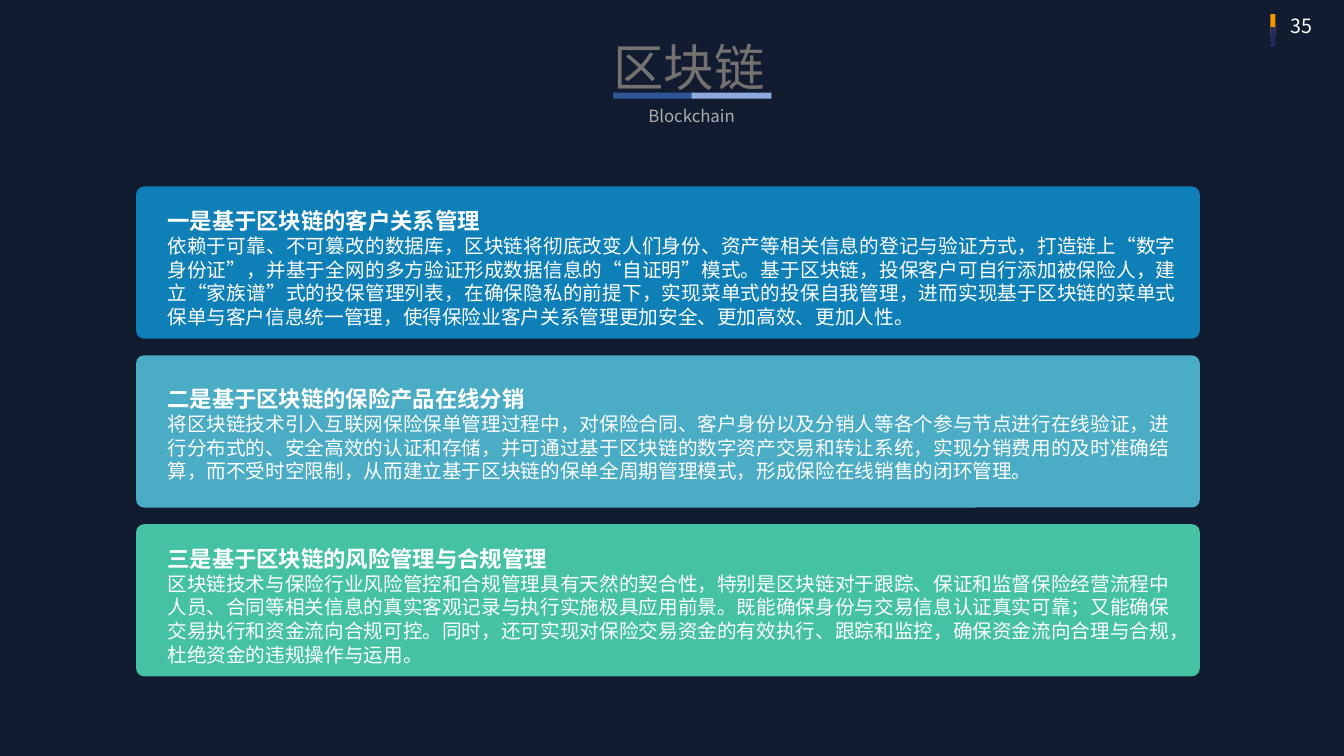
from lxml.etree import SubElement
from pptx import Presentation
from pptx.dml.color import RGBColor
from pptx.enum.shapes import MSO_SHAPE
from pptx.enum.text import MSO_ANCHOR, MSO_AUTO_SIZE, PP_ALIGN
from pptx.oxml.ns import qn
from pptx.util import Inches, Pt

CJK_FONT = "Noto Sans CJK SC"
BODY_FONT = "Open Sans"
COLORS = {
    "background": "111C31", "white": "FFFFFF", "title": "767171", "subtitle": "AFABAB",
    "blue": "0E7FB7", "cyan": "4BACC6", "green": "45C1A4",
    "orange": "F39800", "navy": "1F2B61", "bar_dark": "2F5597", "bar_light": "8FAADC",
}
PANELS = [
    ("blue", -0.09, PP_ALIGN.JUSTIFY, "一是基于区块链的客户关系管理",
     "依赖于可靠、不可篡改的数据库，区块链将彻底改变人们身份、资产等相关信息的登记与验证方式，"
     "打造链上“数字身份证”，并基于全网的多方验证形成数据信息的“自证明”模式。基于区块链，"
     "投保客户可自行添加被保险人，建立“家族谱”式的投保管理列表，在确保隐私的前提下，"
     "实现菜单式的投保自我管理，进而实现基于区块链的菜单式保单与客户信息统一管理，"
     "使得保险业客户关系管理更加安全、更加高效、更加人性。"),
    ("cyan", 0, PP_ALIGN.LEFT, "二是基于区块链的保险产品在线分销",
     "将区块链技术引入互联网保险保单管理过程中，对保险合同、客户身份以及分销人等各个参与节点进行在线验证，"
     "进行分布式的、安全高效的认证和存储，并可通过基于区块链的数字资产交易和转让系统，"
     "实现分销费用的及时准确结算，而不受时空限制，从而建立基于区块链的保单全周期管理模式，"
     "形成保险在线销售的闭环管理。"),
    ("green", -0.09, PP_ALIGN.LEFT, "三是基于区块链的风险管理与合规管理",
     "区块链技术与保险行业风险管控和合规管理具有天然的契合性，"
     "特别是区块链对于跟踪、保证和监督保险经营流程中人员、合同等相关信息的真实客观记录与执行实施极具应用前景。"
     "既能确保身份与交易信息认证真实可靠；又能确保交易执行和资金流向合规可控。"
     "同时，还可实现对保险交易资金的有效执行、跟踪和监控，确保资金流向合理与合规，杜绝资金的违规操作与运用。"),
]
PANEL_TOP, PANEL_STEP = 1.85, 1.675


def color(name):
    """Return the named colour."""
    return RGBColor.from_string(COLORS[name])


def write(paragraph, text, size, fill="white", font=CJK_FONT, bold=False,
          align=PP_ALIGN.LEFT, spacing=1.0):
    """Write formatted text into a paragraph."""
    paragraph.alignment = align
    paragraph.line_spacing = spacing
    run = paragraph.add_run()
    run.text = text
    run.font.size = Pt(size)
    run.font.bold = bold
    run.font.name = font
    run.font.color.rgb = color(fill)
    east_asian = SubElement(run.font._element, qn("a:ea"))
    east_asian.set("typeface", CJK_FONT)


def add_block(slide, left, top, width, height, fill, kind=MSO_SHAPE.RECTANGLE):
    """Add a filled shape without outline or shadow."""
    shape = slide.shapes.add_shape(kind, Inches(left), Inches(top), Inches(width), Inches(height))
    shape.shadow.inherit = False
    shape.fill.solid()
    shape.fill.fore_color.rgb = color(fill)
    shape.line.fill.background()
    return shape


def add_text_frame(slide, left, top, width, height, anchor=MSO_ANCHOR.TOP):
    """Add a wrapping text box and return its frame."""
    box = slide.shapes.add_textbox(Inches(left), Inches(top), Inches(width), Inches(height))
    box.text_frame.word_wrap = True
    box.text_frame.vertical_anchor = anchor
    return box.text_frame


def add_panel(slide, top, fill, text_shift, align, heading, body):
    """Add a rounded panel with its heading and body text."""
    panel = add_block(slide, 1.35, top, 10.55, 1.51, fill, MSO_SHAPE.ROUNDED_RECTANGLE)
    panel.adjustments[0] = 0.052
    frame = add_text_frame(slide, 1.59, top + text_shift, 10.15, 1.55)
    frame.margin_left = frame.margin_right = Inches(0.07)
    frame.margin_top = frame.margin_bottom = Inches(0.03)
    frame.auto_size = MSO_AUTO_SIZE.SHAPE_TO_FIT_TEXT
    write(frame.paragraphs[0], heading, 16, font=BODY_FONT, bold=True, spacing=2.0)
    write(frame.add_paragraph(), body, 14, font=BODY_FONT, align=align)


def add_header(slide):
    """Fill the title and add the subtitle with its two-tone rule."""
    title = slide.shapes.title
    title.left, title.top = Inches(3.98), Inches(0.01)
    title.width, title.height = Inches(5.71), Inches(0.92)
    frame = title.text_frame
    frame.word_wrap = True
    frame.vertical_anchor = MSO_ANCHOR.TOP
    frame.auto_size = MSO_AUTO_SIZE.SHAPE_TO_FIT_TEXT
    write(frame.paragraphs[0], "区块链", 36, fill="title", align=PP_ALIGN.CENTER, spacing=1.5)
    subtitle = add_text_frame(slide, 5.28, 0.95, 3.16, 0.4, MSO_ANCHOR.MIDDLE)
    write(subtitle.paragraphs[0], "Blockchain", 12, fill="subtitle", align=PP_ALIGN.CENTER)
    for left, fill in ((6.08, "bar_dark"), (6.86, "bar_light")):
        add_block(slide, left, 0.92, 0.79, 0.06, fill)


def add_page_number(slide):
    """Add the page number and its two-colour marker."""
    add_block(slide, 12.6, 0.14, 0.05, 0.21, "orange")
    add_block(slide, 12.6, 0.27, 0.05, 0.19, "navy")
    frame = add_text_frame(slide, 12.65, 0.07, 0.51, 0.37, MSO_ANCHOR.MIDDLE)
    write(frame.paragraphs[0], "35", 14, align=PP_ALIGN.CENTER)


def main():
    """Build and save the slide."""
    presentation = Presentation()
    presentation.slide_width, presentation.slide_height = Inches(13.33), Inches(7.5)
    slide = presentation.slides.add_slide(presentation.slide_layouts[5])
    slide.background.fill.solid()
    slide.background.fill.fore_color.rgb = color("background")
    add_page_number(slide)
    for index, panel in enumerate(PANELS):
        add_panel(slide, PANEL_TOP + index * PANEL_STEP, *panel)
    add_header(slide)
    presentation.save("out.pptx")


if __name__ == "__main__":
    main()
